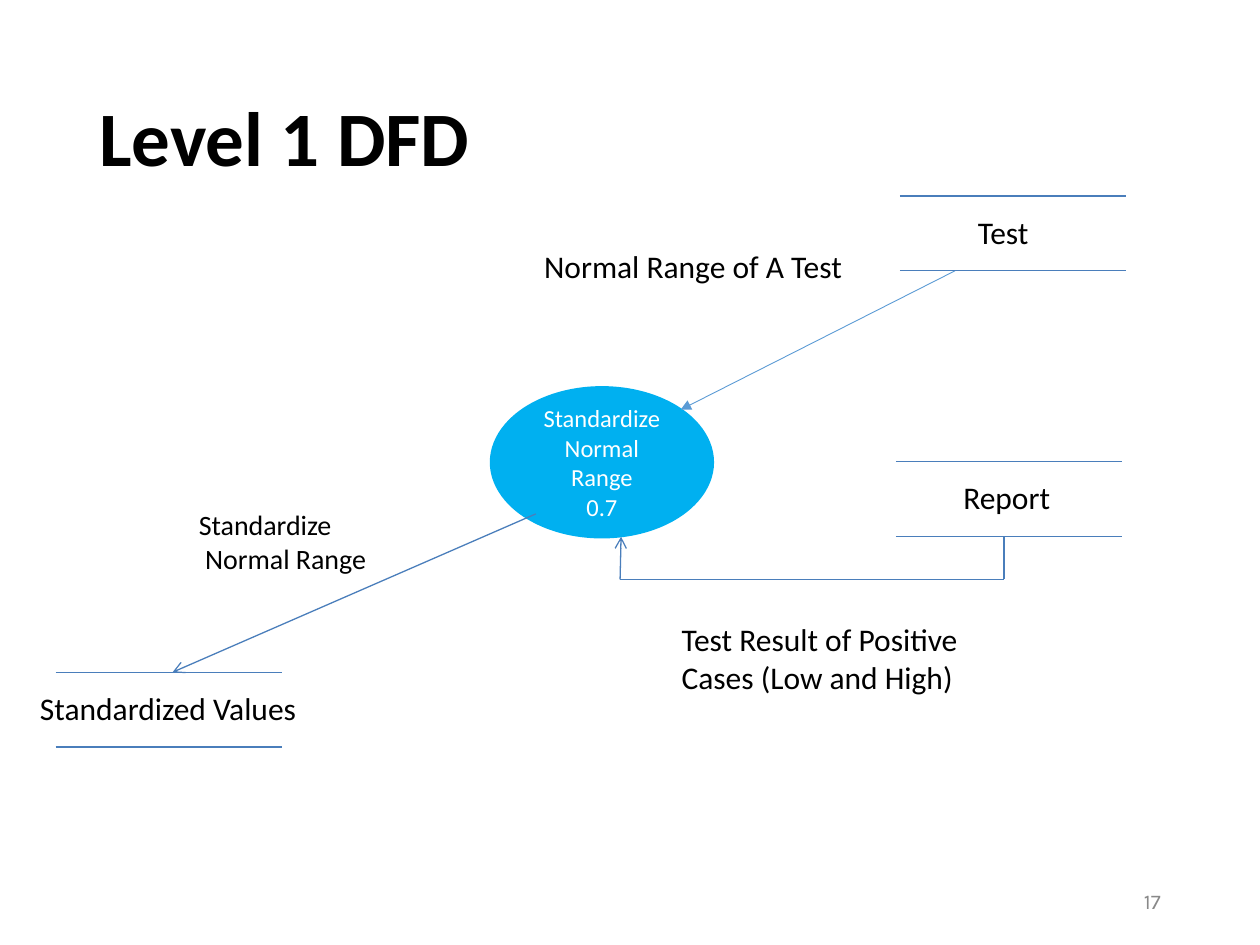
"""Build the Level 1 data flow diagram slide for process 0.7."""
from dataclasses import dataclass
from itertools import pairwise

from lxml.etree import SubElement
from pptx import Presentation
from pptx.dml.color import RGBColor
from pptx.enum.shapes import MSO_CONNECTOR as Link, MSO_SHAPE as Shape
from pptx.enum.text import MSO_ANCHOR as Anchor, PP_ALIGN as Align
from pptx.oxml.ns import qn
from pptx.util import Cm, Pt

STORE_WIDTH = 4.56
STORE_HEIGHT = 1.51
LABEL_DROP = 0.22
LABEL_HEIGHT = 1.02
Point = tuple[float, float]
Box = tuple[float, float, float, float]


@dataclass
class Store:
    name: str
    left: float
    top: float
    label_left: float
    label_width: float


@dataclass
class Flow:
    points: list[Point]
    head: str = "arrow"
    color: str = "4A7EBB"
    width: float = 0.75


@dataclass
class Label:
    lines: list[str]
    box: Box
    size: float = 18
    align: Align = Align.LEFT
    anchor: Anchor = Anchor.TOP
    color: str = "000000"
    font: str = "Calibri"
    bold: bool = False
    spacing: float = 1.0


STORES = [
    Store("Report", 18.06, 9.3, 18.11, 4.37),
    Store("Test ", 18.14, 3.95, 18.11, 4.37),
    Store("Standardized Values", 1.12, 13.55, 0.2, 6.38),
]
FLOWS = [
    Flow([(10.8, 10.36), (3.48, 13.55)]),
    Flow([(20.24, 10.82), (20.24, 11.68), (12.5, 11.68), (12.52, 10.82)]),
    Flow([(19.25, 5.46), (13.72, 8.26)], "triangle", "5B9BD5", 0.5),
]
PROCESS = Label(["Standardize Normal Range", "0.7"], (9.91, 7.82, 4.45, 3), 14,
                Align.CENTER, Anchor.MIDDLE, "FFFFFF")
LABELS = [
    Label(["Level 1 DFD"], (1.75, 1.02, 21.92, 3.68), 44,
          anchor=Anchor.MIDDLE, bold=True, spacing=0.9),
    Label(["17"], (17.93, 17.65, 5.72, 1.02), 12, Align.RIGHT,
          Anchor.MIDDLE, "898989", "Karla"),
    Label(["Standardize", " Normal Range"], (3.76, 10.11, 8.13, 1.63), 16),
    Label(["Normal Range of A Test"], (10.72, 4.85, 6.93, 1.02)),
    Label(["Test Result of Positive Cases (Low and High)"],
          (13.49, 12.37, 6.93, 1.78)),
]


def rgb(value: str) -> RGBColor:
    return RGBColor.from_string(value)


def write_text(frame, label: Label) -> None:
    frame.word_wrap = True
    frame.vertical_anchor = label.anchor
    for index, line in enumerate(label.lines):
        paragraph = frame.add_paragraph() if index else frame.paragraphs[0]
        paragraph.alignment = label.align
        paragraph.line_spacing = label.spacing
        run = paragraph.add_run()
        run.text = line
        run.font.name = label.font
        run.font.size = Pt(label.size)
        run.font.bold = label.bold
        run.font.color.rgb = rgb(label.color)


def draw_label(slide, label: Label) -> None:
    box = slide.shapes.add_textbox(*map(Cm, label.box))
    write_text(box.text_frame, label)


def draw_process(slide, label: Label) -> None:
    process = slide.shapes.add_shape(Shape.FLOWCHART_CONNECTOR, *map(Cm, label.box))
    process.shadow.inherit = False
    process.fill.solid()
    process.fill.fore_color.rgb = rgb("00B0F0")
    process.line.color.rgb = rgb("00B0F0")
    process.line.width = Pt(2)
    write_text(process.text_frame, label)


def draw_flow(slide, flow: Flow) -> None:
    for start, end in pairwise(flow.points):
        segment = slide.shapes.add_connector(Link.STRAIGHT, *map(Cm, start + end))
        segment.line.color.rgb = rgb(flow.color)
        segment.line.width = Pt(flow.width)
        if flow.head and end == flow.points[-1]:
            SubElement(segment.line._get_or_add_ln(), qn("a:tailEnd"), type=flow.head)
        SubElement(segment._element.spPr, qn("a:effectLst"))


def draw_store(slide, store: Store) -> None:
    for y in (store.top, store.top + STORE_HEIGHT):
        draw_flow(slide, Flow([(store.left, y), (store.left + STORE_WIDTH, y)], head=""))
    box = (store.label_left, store.top + LABEL_DROP, store.label_width, LABEL_HEIGHT)
    draw_label(slide, Label([store.name], box, align=Align.CENTER))


def main() -> None:
    deck = Presentation()
    deck.slide_width, deck.slide_height = Cm(25.4), Cm(19.05)
    slide = deck.slides.add_slide(deck.slide_layouts[6])
    draw_process(slide, PROCESS)
    for flow in FLOWS:
        draw_flow(slide, flow)
    for store in STORES:
        draw_store(slide, store)
    for label in LABELS:
        draw_label(slide, label)
    deck.save("out.pptx")


if __name__ == "__main__":
    main()
